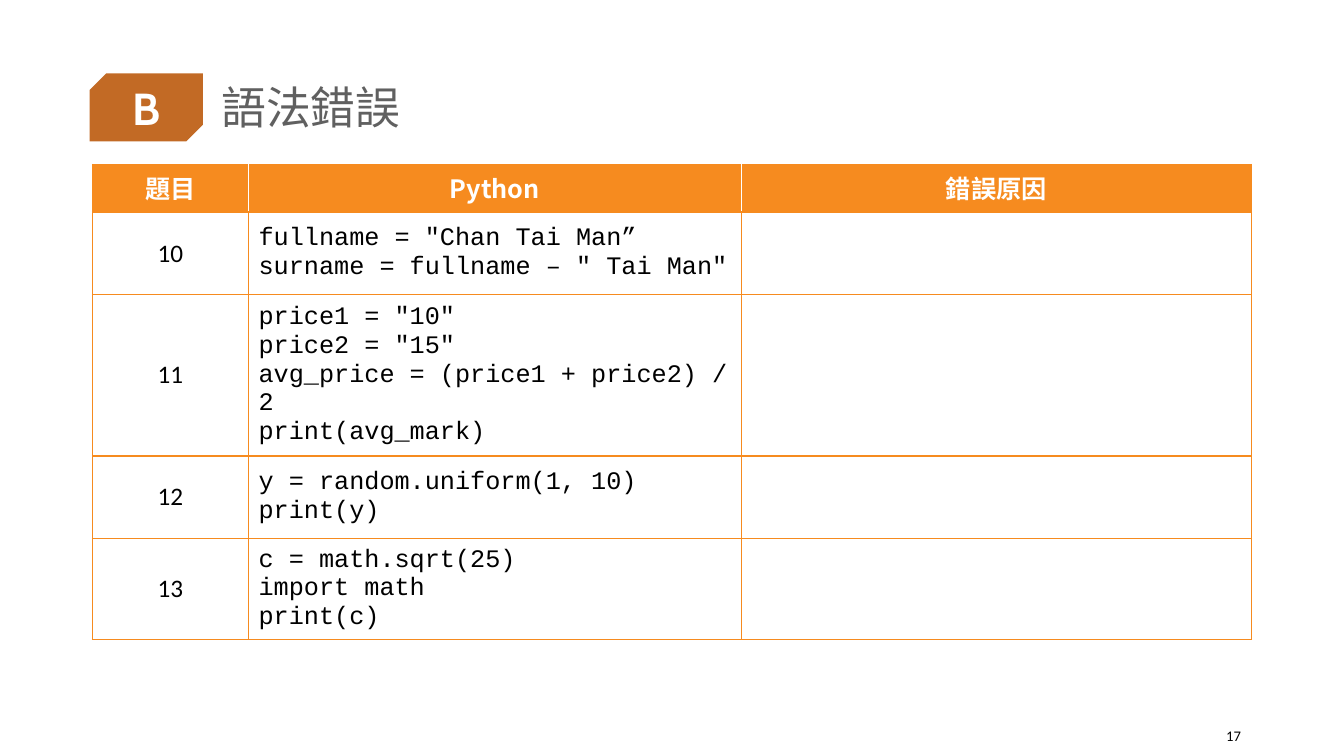
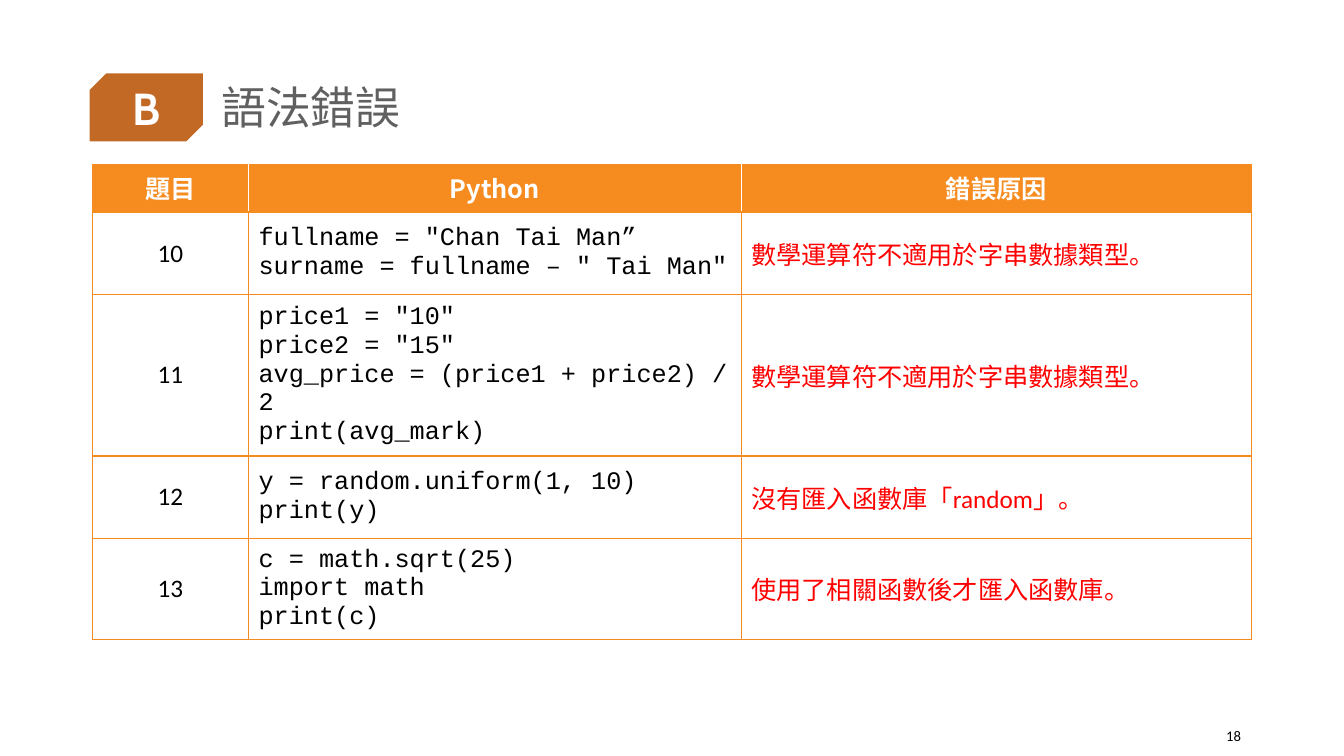
from lxml import etree
from pptx import Presentation
from pptx.dml.color import RGBColor
from pptx.enum import shapes, text
from pptx.oxml.ns import qn
from pptx.util import Pt

SECTION, TITLE = "B", "語法錯誤"
HEADINGS = ["題目", "Python", "錯誤原因"]
QUESTIONS = [
    ("10", ['fullname = "Chan Tai Man”', 'surname = fullname – " Tai Man"'],
     "數學運算符不適用於字串數據類型。"),
    ("11", ['price1 = "10"', 'price2 = "15"', "avg_price = (price1 + price2) / 2", "print(avg_mark)"],
     "數學運算符不適用於字串數據類型。"),
    ("12", ["y = random.uniform(1, 10)", "print(y)"],
     "沒有匯入函數庫「random」。"),
    ("13", ["c = math.sqrt(25)", "import math", "print(c)"],
     "使用了相關函數後才匯入函數庫。"),
]
PAGES = [("17", False), ("18", True)]

ORANGE, RUST, GREY, WHITE, BLACK, RED = "F68B1F", "C26A25", "606060", "FFFFFF", "000000", "FF0000"
CJK, BODY, CODE = "Noto Sans CJK TC", "Calibri", "Courier New"
COLUMN_WIDTHS = [111.5, 352, 364.5]
HEADING_HEIGHT, ROW_HEIGHT = 34, 59
LEFT, CENTER, RIGHT = text.PP_ALIGN.LEFT, text.PP_ALIGN.CENTER, text.PP_ALIGN.RIGHT
TOP, MIDDLE = text.MSO_ANCHOR.TOP, text.MSO_ANCHOR.MIDDLE


def rgb(color):
    """Turn a hex string into a colour."""
    return RGBColor.from_string(color)


def write(frame, lines, size=18, font=BODY, color=BLACK, bold=False, align=LEFT, spacing=None):
    """Write lines as paragraphs of one format."""
    for index, line in enumerate(lines):
        paragraph = frame.add_paragraph() if index else frame.paragraphs[0]
        paragraph.alignment = align
        if spacing:
            paragraph.line_spacing = spacing
        run = paragraph.add_run()
        run.text = line
        run.font.size, run.font.bold, run.font.name = Pt(size), bold, font
        run.font.color.rgb = rgb(color)
        etree.SubElement(run.font._element, qn("a:ea"), typeface=CJK)


def add_text(slide, box, line, **style):
    """Add a wrapped, vertically centred text box."""
    frame = slide.shapes.add_textbox(*map(Pt, box)).text_frame
    frame.word_wrap = True
    frame.vertical_anchor = MIDDLE
    write(frame, [line], **style)


def add_badge(slide):
    """Add the section letter on its snipped badge."""
    badge = slide.shapes.add_shape(
        shapes.MSO_SHAPE.SNIP_2_DIAG_RECTANGLE, Pt(64), Pt(52.5), Pt(81), Pt(48.5))
    badge.adjustments[0], badge.adjustments[1] = 0.245, 0
    badge.shadow.inherit = False
    badge.fill.solid()
    badge.fill.fore_color.rgb = rgb(RUST)
    badge.line.fill.background()
    frame = badge.text_frame
    frame.margin_top = frame.margin_bottom = 0
    frame.vertical_anchor = MIDDLE
    write(frame, [SECTION], size=32, font="Cabin", color=WHITE, bold=True, align=CENTER)


def set_borders(cell, **colors):
    """Draw one-point borders, orange unless a side is given a colour."""
    properties = cell._tc.get_or_add_tcPr()
    for index, side in enumerate(("lnL", "lnR", "lnT", "lnB")):
        line = etree.Element(qn(f"a:{side}"), w=str(Pt(1)))
        fill = etree.SubElement(line, qn("a:solidFill"))
        etree.SubElement(fill, qn("a:srgbClr"), val=colors.get(side, ORANGE))
        properties.insert(index, line)


def add_questions(slide, answered):
    """Add the question table, with reasons when answered."""
    table = slide.shapes.add_table(
        len(QUESTIONS) + 1, len(HEADINGS), Pt(66), Pt(117.5), Pt(sum(COLUMN_WIDTHS)),
        Pt(HEADING_HEIGHT + ROW_HEIGHT * len(QUESTIONS))).table
    for column, width in zip(table.columns, COLUMN_WIDTHS):
        column.width = Pt(width)
    for index, row in enumerate(table.rows):
        row.height = Pt(ROW_HEIGHT if index else HEADING_HEIGHT)

    last = len(HEADINGS) - 1
    for index, heading in enumerate(HEADINGS):
        cell = table.cell(0, index)
        cell.fill.solid()
        cell.fill.fore_color.rgb = rgb(ORANGE)
        cell.vertical_anchor = TOP
        set_borders(cell, lnL=WHITE if index else ORANGE, lnR=WHITE if index < last else ORANGE)
        write(cell.text_frame, [heading], font=CJK, color=WHITE, bold=True, align=CENTER)

    for row, (number, code, reason) in enumerate(QUESTIONS, 1):
        contents = [
            ([number], dict(align=CENTER)),
            (code, dict(font=CODE)),
            ([reason] if answered else [], dict(color=RED)),
        ]
        for column, (lines, style) in enumerate(contents):
            cell = table.cell(row, column)
            cell.fill.background()
            cell.vertical_anchor = MIDDLE
            set_borders(cell)
            write(cell.text_frame, lines, **style)


def main():
    """Build the question slide and the answer slide."""
    deck = Presentation()
    deck.slide_width, deck.slide_height = Pt(960), Pt(540)
    for page, answered in PAGES:
        slide = deck.slides.add_slide(deck.slide_layouts[6])
        add_badge(slide)
        add_text(slide, (151, 29, 743, 99), TITLE, size=32, font=CJK, color=GREY, spacing=0.9)
        add_text(slide, (833, 511, 60.5, 29), page, size=10.5, align=RIGHT)
        add_questions(slide, answered)
    deck.save("out.pptx")


if __name__ == "__main__":
    main()
